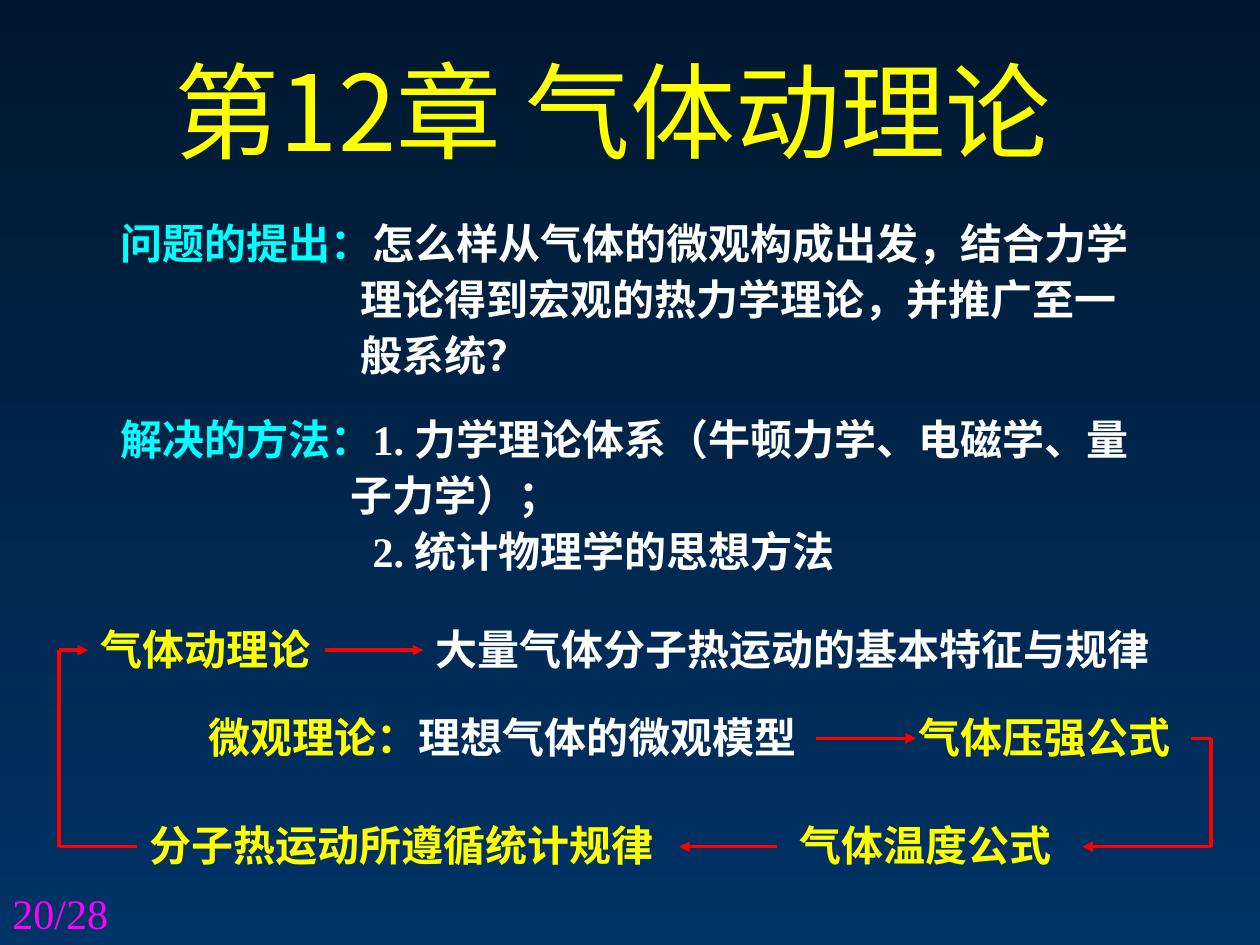
from itertools import pairwise

from lxml.etree import SubElement
from pptx import Presentation
from pptx.dml.color import RGBColor
from pptx.enum.shapes import MSO_CONNECTOR
from pptx.enum.text import MSO_ANCHOR
from pptx.oxml.ns import qn
from pptx.util import Inches, Pt

NAVY_TOP = RGBColor(0x00, 0x18, 0x2F)
NAVY_BOTTOM = RGBColor(0x00, 0x33, 0x66)
CYAN = RGBColor(0x00, 0xFF, 0xFF)
WHITE = RGBColor(0xFF, 0xFF, 0xFF)
YELLOW = RGBColor(0xFF, 0xFF, 0x00)
MAGENTA = RGBColor(0xFF, 0x00, 0xFF)
RED = RGBColor(0xFF, 0x00, 0x00)

LATIN = "Times New Roman"
CJK = "Noto Sans CJK SC"

ROW_1, ROW_2, ROW_3 = 5.16, 5.86, 6.72


def set_background(s):
    fill = s.background.fill
    fill.gradient()
    fill.gradient_angle = 270
    for stop, color in zip(fill.gradient_stops, (NAVY_TOP, NAVY_BOTTOM)):
        stop.color.rgb = color


def add_run(p, text, color, size, font, bold):
    r = p.add_run()
    r.text = text
    r.font.size = Pt(size)
    r.font.bold = bold
    r.font.color.rgb = color
    r.font.name = font
    SubElement(r.font._element, qn("a:ea"), typeface=CJK)


def add_text(s, left, top, width, height, *lines, size=24, font=LATIN,
             bold=True, spacing=None):
    """Each line is (left indent in inches, (text, color), ...)."""
    box = s.shapes.add_textbox(*map(Inches, (left, top, width, height)))
    tf = box.text_frame
    tf.word_wrap = True
    tf.vertical_anchor = MSO_ANCHOR.MIDDLE
    for i, (indent, *runs) in enumerate(lines):
        p = tf.add_paragraph() if i else tf.paragraphs[0]
        if indent:
            p._p.get_or_add_pPr().set("marL", str(Inches(indent)))
        if spacing:
            p.line_spacing = Pt(spacing)
        for text, color in runs:
            add_run(p, text, color, size, font, bold)


def add_arrow(s, *points):
    """Draw straight segments through the points, with a head on the last."""
    for start, end in pairwise(points):
        line = s.shapes.add_connector(
            MSO_CONNECTOR.STRAIGHT, *map(Inches, (*start, *end)))
        line.line.color.rgb = RED
        line.line.width = Pt(2)
        sp_pr = line._element.spPr
        if end == points[-1]:
            SubElement(sp_pr.find(qn("a:ln")), qn("a:tailEnd"), type="triangle")
        SubElement(sp_pr, qn("a:effectLst"))


def add_questions(s):
    add_text(s, 0.86, 1.64, 8.52, 1.41,
             (0, ("问题的提出：", CYAN),
              ("怎么样从气体的微观构成出发，结合力学", WHITE)),
             (1.9, ("理论得到宏观的热力学理论，并推广至一", WHITE)),
             (1.9, ("般系统？", WHITE)), spacing=32)
    add_text(s, 0.86, 3.2, 8.52, 1.41,
             (0, ("解决的方法：", CYAN),
              ("1. 力学理论体系（牛顿力学、电磁学、量", WHITE)),
             (1.82, ("子力学）；", WHITE)),
             (2, ("2. 统计物理学的思想方法", WHITE)), spacing=32)


def add_flow(s):
    labels = [
        (0.7, 4.89, 2.03, ("气体动理论", YELLOW)),
        (3.36, 4.89, 6.48, ("大量气体分子热运动的基本特征与规律", WHITE)),
        (1.56, 5.59, 5.23, ("微观理论：", YELLOW), ("理想气体的微观模型", WHITE)),
        (7.19, 5.59, 2.34, ("气体压强公式", YELLOW)),
        (6.25, 6.45, 2.5, ("气体温度公式", YELLOW)),
        (1.09, 6.45, 5.23, ("分子热运动所遵循统计规律", YELLOW)),
    ]
    for left, top, width, *runs in labels:
        add_text(s, left, top, width, 0.51, (0, *runs))

    add_arrow(s, (2.58, ROW_1), (3.36, ROW_1))
    add_arrow(s, (6.48, ROW_2), (7.27, ROW_2))
    add_arrow(s, (9.45, ROW_2), (9.61, ROW_2), (9.61, ROW_3), (8.59, ROW_3))
    add_arrow(s, (6.17, ROW_3), (5.39, ROW_3))
    add_arrow(s, (1.09, ROW_3), (0.47, ROW_3), (0.47, ROW_1), (0.7, ROW_1))


def main():
    prs = Presentation()
    prs.slide_width, prs.slide_height = Inches(10), Inches(7.5)
    s = prs.slides.add_slide(prs.slide_layouts[6])
    set_background(s)
    add_questions(s)
    add_text(s, 1.29, 0.31, 8.55, 1.11, (0, ("第12章 气体动理论", YELLOW)),
             size=60, font=CJK, bold=False)
    add_text(s, 0, 6.98, 2.33, 0.52, (0, ("20/28", MAGENTA)), bold=False)
    add_flow(s)
    prs.save("out.pptx")


if __name__ == "__main__":
    main()
